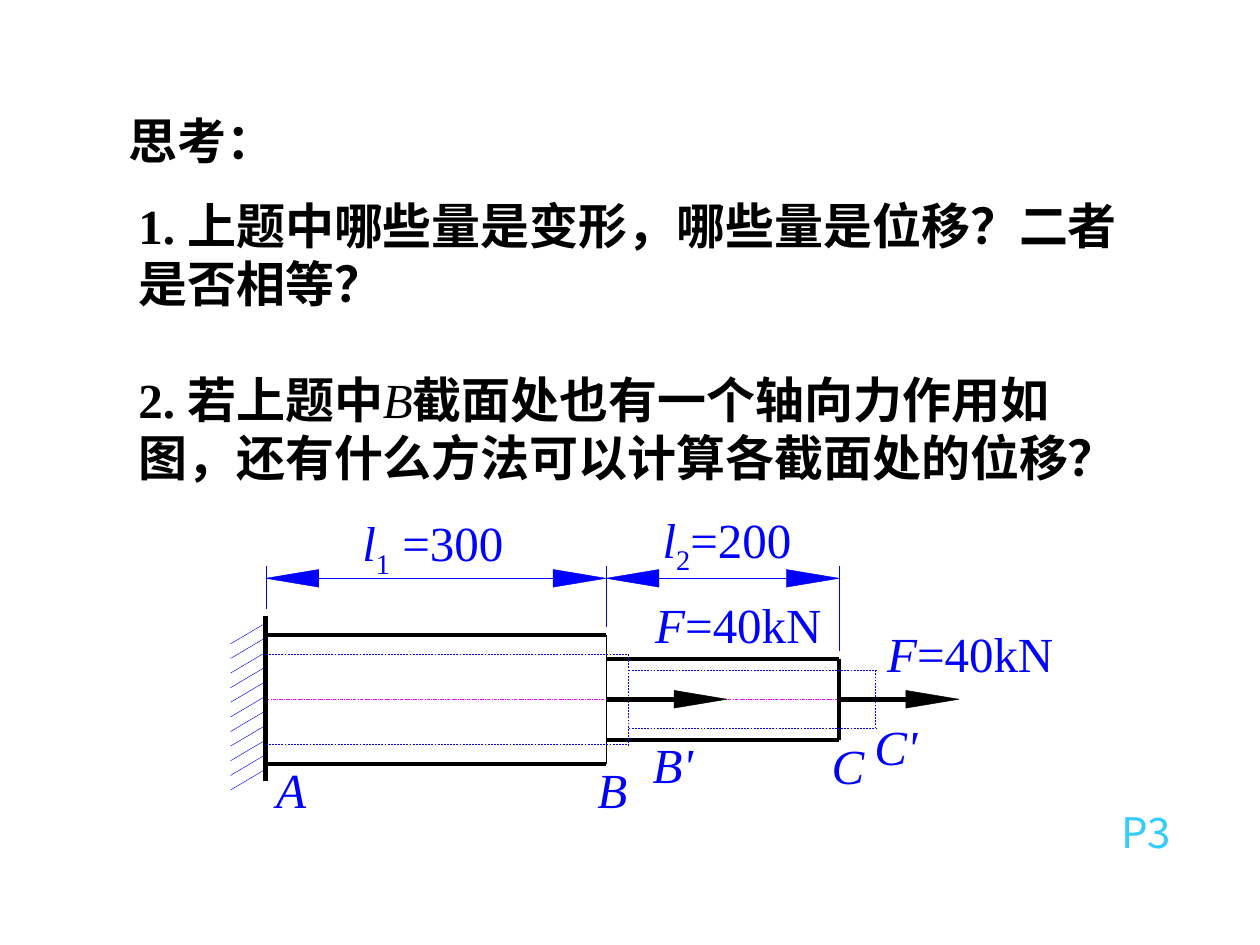
"""Build the slide on deformation and displacement of a stepped bar."""
from lxml import etree
from pptx import Presentation
from pptx.dml.color import RGBColor
from pptx.enum.dml import MSO_LINE
from pptx.enum.shapes import MSO_CONNECTOR
from pptx.enum.text import MSO_ANCHOR, PP_ALIGN
from pptx.oxml.ns import qn
from pptx.util import Inches, Pt

LEFT, CENTER = PP_ALIGN.LEFT, PP_ALIGN.CENTER
TOP = MSO_ANCHOR.TOP
STRAIGHT = MSO_CONNECTOR.STRAIGHT
DASH, DASH_DOT = MSO_LINE.DASH, MSO_LINE.LONG_DASH_DOT
BLACK, BLUE, MAGENTA, CYAN = "000000", "0000FF", "FF00FF", "33CCFF"
SERIF, SANS = "Times New Roman", "Noto Sans CJK SC"
THIN, EDGE, HEAVY = 0.25, 2.25, 3
HEAD_LENGTH, HEAD_HALF = 0.42, 0.07

X_A, X_B, X_C = 2.11, 4.81, 6.66
X_B2, X_C2 = 4.99, 6.95
Y_AXIS, Y_DIM, Y_DIM_TOP = 5.55, 4.59, 4.49

TITLE = "思考："
QUESTIONS = [
    (1.5, [("1. 上题中哪些量是变形，哪些量是位移？二者是否相等？", "b")]),
    (2.88, [("2. 若上题中", "b"), ("B", "i"),
            ("截面处也有一个轴向力作用如图，还有什么方法可以计算各截面处的位移？", "b")]),
]
FORCE = [("F", "i"), ("=40kN", "")]
DIMENSION_LABELS = [
    ((2.77, 4.07, 1.33, 0.53), [("l", "i"), ("1", "sub"), (" =300", "")]),
    ((5.02, 4.04, 1.5, 0.53), [("l", "i"), ("2", "sub"), ("=200", "")]),
]
LABELS = [
    ((7.04, 4.95, 1.32, 0.47), FORCE),
    ((5.2, 4.72, 1.32, 0.47), FORCE),
    ((2.19, 6.03, 0.24, 0.47), [("A", "i")]),
    ((4.74, 6.03, 0.24, 0.47), [("B", "i")]),
    ((5.14, 5.83, 0.4, 0.47), [("B'", "i")]),
    ((6.55, 5.84, 0.36, 0.47), [("C", "i")]),
    ((6.86, 5.69, 0.5, 0.47), [("C'", "i")]),
]
# Left, right and half height of each bar segment, before and after loading
BAR = [(X_A, X_B, 0.51), (X_B, X_C, 0.32)]
STRETCHED = [(X_A, X_B2, 0.36), (X_B2, X_C2, 0.23)]
EXTENSION_ENDS = [(X_A, 4.83), (X_B, 4.98), (X_C, 5.17)]
FORCES = [(X_B, 5.77), (X_C, 7.61)]
HATCH_COUNT, HATCH_TOP, HATCH_STEP, HATCH_RISE = 11, 5.11, 0.116, 0.16


def rgb(value):
    """Turn a hex string into a colour."""
    return RGBColor.from_string(value)


def write(sp, runs, size=28, font=SERIF, color=BLACK, align=LEFT, inset=(0, 0), wrap=True):
    """Fill a shape with one paragraph of styled runs."""
    tf = sp.text_frame
    tf.word_wrap = wrap
    tf.vertical_anchor = TOP
    tf.margin_left = tf.margin_right = Inches(inset[0])
    tf.margin_top = tf.margin_bottom = Inches(inset[1])
    p = tf.paragraphs[0]
    p.alignment = align
    p._p.get_or_add_pPr().set("hangingPunct", "0")
    for text, style in runs:
        r = p.add_run()
        r.text = text
        r.font.name, r.font.size = font, Pt(size)
        r.font.color.rgb = rgb(color)
        r.font.bold, r.font.italic = style == "b", style == "i"
        if style == "sub":
            r.font._element.set("baseline", "-25000")


def add_text(s, box, runs, **fmt):
    """Add a text box."""
    write(s.shapes.add_textbox(*map(Inches, box)), runs, **fmt)


def add_line(s, x1, y1, x2, y2, color=BLUE, width=THIN, dash=None):
    """Add a straight line without shadow."""
    sp = s.shapes.add_connector(STRAIGHT, *map(Inches, (x1, y1, x2, y2)))
    sp.line.color.rgb = rgb(color)
    sp.line.width = Pt(width)
    if dash is not None:
        sp.line.dash_style = dash
    etree.SubElement(sp._element.spPr, qn("a:effectLst"))


def add_head(s, tip, y, direction, color):
    """Add a slim triangular arrowhead pointing right (1) or left (-1)."""
    back = Inches(tip - direction * HEAD_LENGTH)
    fb = s.shapes.build_freeform(back, Inches(y - HEAD_HALF))
    fb.add_line_segments([(back, Inches(y + HEAD_HALF)), (Inches(tip), Inches(y))], close=True)
    sp = fb.convert_to_shape()
    sp.shadow.inherit = False
    sp.fill.solid()
    sp.fill.fore_color.rgb = rgb(color)
    sp.line.color.rgb = rgb(color)
    sp.line.width = Pt(THIN)


def add_sides(s, segments, **fmt):
    """Draw the upper and lower sides of bar segments."""
    for x1, x2, half in segments:
        for y in (Y_AXIS - half, Y_AXIS + half):
            add_line(s, x1, y, x2, y, **fmt)


def add_end(s, x, half, **fmt):
    """Draw a cross-section centred on the bar axis."""
    add_line(s, x, Y_AXIS - half, x, Y_AXIS + half, **fmt)


def add_dimensions(s):
    """Draw the extension lines, dimension lines and their arrowheads."""
    for x, end in EXTENSION_ENDS:
        add_line(s, x, Y_DIM_TOP, x, end)
    for x1, x2, _ in BAR:
        add_line(s, x1 + HEAD_LENGTH, Y_DIM, x2 - HEAD_LENGTH, Y_DIM)
        add_head(s, x1, Y_DIM, -1, BLUE)
        add_head(s, x2, Y_DIM, 1, BLUE)


def add_bar(s):
    """Draw the wall, the bar, its stretched outline and the forces."""
    for i in range(HATCH_COUNT):
        y = HATCH_TOP + i * HATCH_STEP
        add_line(s, 1.83, y, 2.1, y - HATCH_RISE)
    add_line(s, X_A, Y_AXIS, X_C, Y_AXIS, color=MAGENTA, dash=DASH_DOT)
    add_line(s, X_A, 4.89, X_A, 6.2, color=BLACK, width=HEAVY)
    add_sides(s, BAR, color=BLACK, width=EDGE)
    add_end(s, X_B, BAR[0][2], color=BLACK)
    add_end(s, X_C, BAR[1][2], color=BLACK, width=EDGE)
    add_sides(s, STRETCHED, dash=DASH)
    for _, x, half in STRETCHED:
        add_end(s, x, half, dash=DASH)
    for start, tip in FORCES:
        add_line(s, start, Y_AXIS, tip - HEAD_LENGTH, Y_AXIS, color=BLACK, width=HEAVY)
        add_head(s, tip, Y_AXIS, 1, BLACK)


def main():
    """Build and save the slide."""
    prs = Presentation()
    prs.slide_width, prs.slide_height = Inches(10), Inches(7.5)
    s = prs.slides.add_slide(prs.slide_layouts[5])
    title = s.shapes.title
    title.left, title.top, title.width, title.height = map(Inches, (0.92, 0.83, 2, 0.57))
    write(title, [(TITLE, "b")], inset=(0.1, 0.05))
    for top, runs in QUESTIONS:
        add_text(s, (1, top, 8.17, 1.04), runs, inset=(0.1, 0.05))
    add_dimensions(s)
    add_bar(s)
    for box, runs in DIMENSION_LABELS:
        add_text(s, box, runs, color=BLUE, align=CENTER)
    for box, runs in LABELS:
        add_text(s, box, runs, color=BLUE, align=CENTER, wrap=False)
    add_text(s, (8.8, 6.35, 0.84, 0.86), [("P3", "")], size=24, font=SANS,
             color=CYAN, inset=(0.1, 0.05), wrap=False)
    prs.save("out.pptx")


if __name__ == "__main__":
    main()
